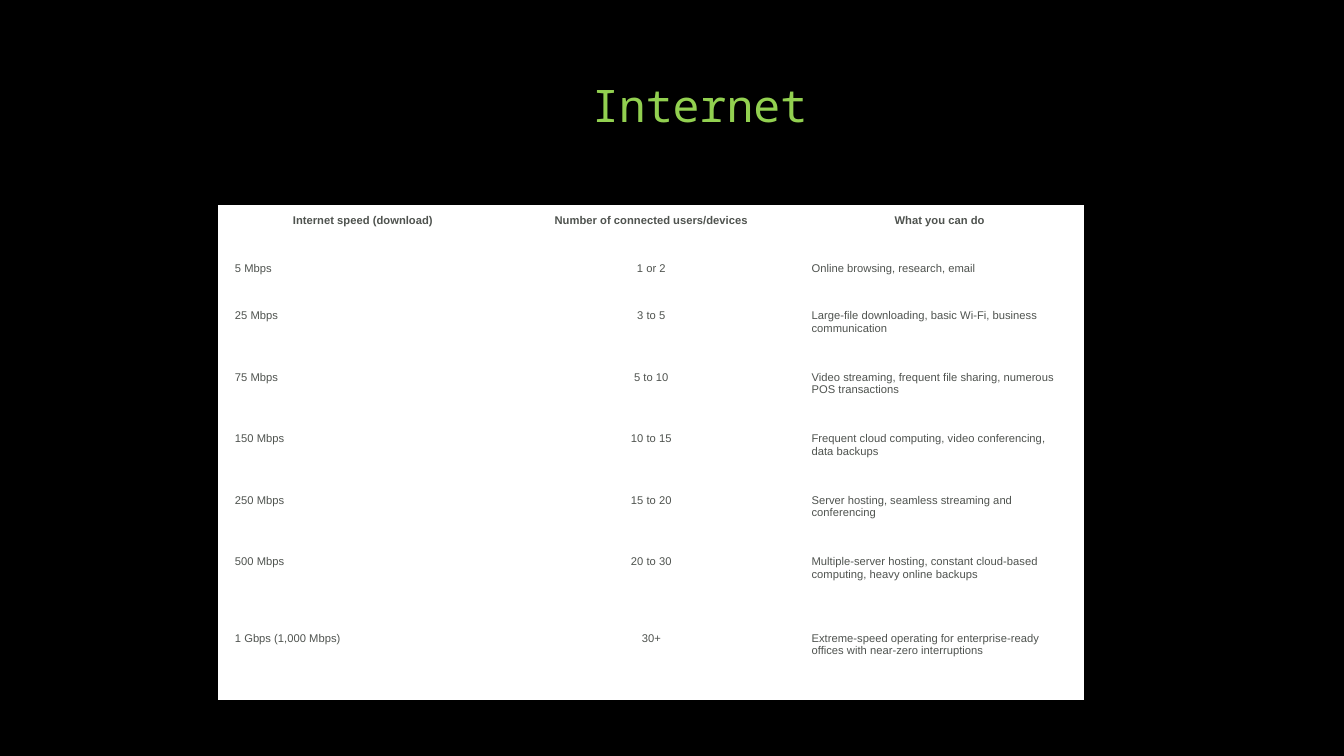
import pptx
import pptx.dml.color
import pptx.enum.text
import pptx.util

Inches = pptx.util.Inches
Pt = pptx.util.Pt
Align = pptx.enum.text.PP_ALIGN
Anchor = pptx.enum.text.MSO_ANCHOR

HEADS = ("Internet speed (download)", "Number of connected users/devices", "What you can do")
SPEEDS = (
    ("5 Mbps", "1 or 2", "Online browsing, research, email"),
    ("25 Mbps", "3 to 5", "Large-file downloading, basic Wi-Fi, business communication"),
    ("75 Mbps", "5 to 10", "Video streaming, frequent file sharing, numerous POS transactions"),
    ("150 Mbps", "10 to 15", "Frequent cloud computing, video conferencing, data backups"),
    ("250 Mbps", "15 to 20", "Server hosting, seamless streaming and conferencing"),
    ("500 Mbps", "20 to 30",
     "Multiple-server hosting, constant cloud-based computing, heavy online backups"),
    ("1 Gbps (1,000 Mbps)", "30+",
     "Extreme-speed operating for enterprise-ready offices with near-zero interruptions"),
)
HEIGHTS = [0.47] * 2 + [0.61] * 4 + [0.76] * 2


def paint(fill, color):
    fill.solid()
    fill.fore_color.rgb = pptx.dml.color.RGBColor.from_string(color)


def write(frame, text, font="Arial", size=8, color="4F534F", bold=False,
          align=Align.LEFT, before=0, line=1.0):
    """Put one formatted paragraph in a text frame."""
    para = frame.paragraphs[0]
    para.alignment = align
    para.space_before = Pt(before)
    para.line_spacing = line
    run = para.add_run()
    run.text = text
    run.font.name = font
    run.font.size = Pt(size)
    run.font.bold = bold
    paint(run.font.fill, color)


class Deck:
    back = "000000"
    accent = "92D050"
    paper = "FFFFFF"

    def __init__(self):
        self.file = pptx.Presentation()
        self.file.slide_width = Inches(13.33)
        self.file.slide_height = Inches(7.5)
        self.slide = self.file.slides.add_slide(self.file.slide_layouts[6])
        paint(self.slide.background.fill, self.back)

    def title(self, text, left, top, width, height):
        box = self.slide.shapes.add_textbox(
            Inches(left), Inches(top), Inches(width), Inches(height))
        frame = box.text_frame
        frame.word_wrap = True
        frame.vertical_anchor = Anchor.BOTTOM
        write(frame, text, font="Noto Sans Mono", size=32, color=self.accent,
              align=Align.CENTER, line=0.9)

    def table(self, rows, heights, left, top, width):
        """Add a plain table with a bold first row and a centred middle column."""
        cols = len(rows[0])
        table = self.slide.shapes.add_table(
            len(rows), cols, Inches(left), Inches(top),
            Inches(width), Inches(sum(heights))).table
        table.horz_banding = False
        for col in table.columns:
            col.width = Inches(width / cols)
        for r, (row, height) in enumerate(zip(rows, heights)):
            table.rows[r].height = Inches(height)
            for c, text in enumerate(row):
                cell = table.cell(r, c)
                paint(cell.fill, self.paper)
                cell.margin_left = cell.margin_right = Inches(0.16)
                cell.margin_top = cell.margin_bottom = Inches(0.09)
                mid = r == 0 or c == 1
                write(cell.text_frame, text, bold=r == 0, before=2,
                      align=Align.CENTER if mid else Align.LEFT)


def main():
    deck = Deck()
    deck.title("Internet", 1.17, 0.03, 11.54, 1.33)
    deck.table((HEADS,) + SPEEDS, HEIGHTS, 2.17, 2.04, 8.58)
    deck.file.save("out.pptx")


if __name__ == "__main__":
    main()
